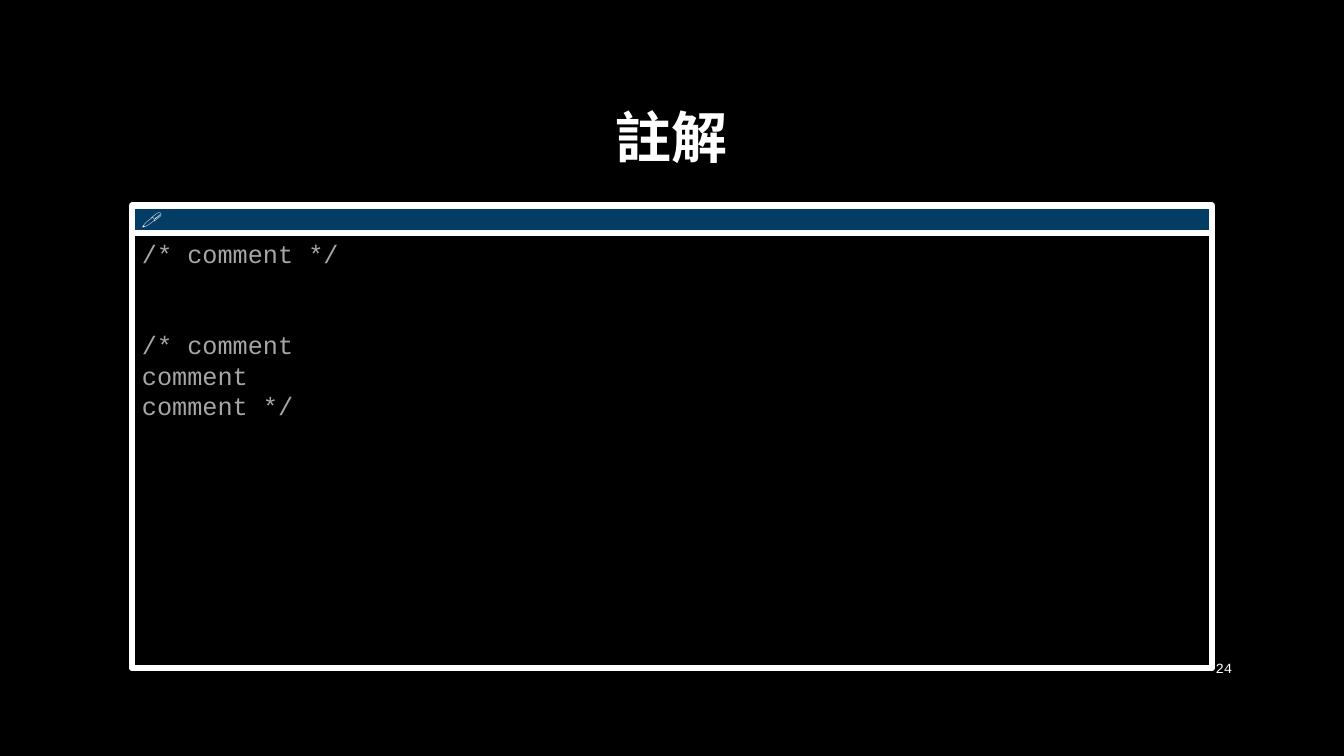
import pptx
import pptx.dml.color
import pptx.enum.shapes
import pptx.enum.text
import pptx.oxml.ns
import pptx.util
from lxml import etree

Inches = pptx.util.Inches
Pt = pptx.util.Pt
RGBColor = pptx.dml.color.RGBColor
ALIGN = pptx.enum.text.PP_ALIGN
ANCHOR = pptx.enum.text.MSO_ANCHOR

BLACK = RGBColor(0x00, 0x00, 0x00)
WHITE = RGBColor(0xFF, 0xFF, 0xFF)
GRAY = RGBColor(0xA6, 0xA6, 0xA6)
BLUE = RGBColor(0x07, 0x7A, 0xCC)
FONT = "Courier New"
CODE_PITCH = 21.8
BAR_HEIGHT = 0.27


def write(sp, text, size, color=WHITE, bold=False, align=ALIGN.LEFT,
          anchor=ANCHOR.MIDDLE, spacing=None):
    """Fill a shape with text, one paragraph per line."""
    tf = sp.text_frame
    tf.word_wrap = True
    tf.vertical_anchor = anchor
    tf.text = text
    for p in tf.paragraphs:
        p.alignment = align
        p.line_spacing = spacing
        for r in p.runs:
            r.font.name = FONT
            r.font.size = Pt(size)
            r.font.bold = bold
            r.font.color.rgb = color
    return tf


def add_label(s, box, text, size, **style):
    sp = s.shapes.add_textbox(*map(Inches, box))
    write(sp, text, size, **style)


def add_pane(shapes, box, color):
    """Add a white-edged rectangle with a half-transparent fill."""
    sp = shapes.add_shape(pptx.enum.shapes.MSO_SHAPE.RECTANGLE, *map(Inches, box))
    sp.shadow.inherit = False
    sp.fill.solid()
    sp.fill.fore_color.rgb = color
    qn = pptx.oxml.ns.qn
    clr = sp.fill._xPr.find(qn("a:solidFill")).find(qn("a:srgbClr"))
    etree.SubElement(clr, qn("a:alpha")).set("val", "50000")
    sp.line.color.rgb = WHITE
    sp.line.width = Pt(4.5)
    return sp


def add_code_window(s, box, icon, blocks):
    """Draw a title bar above a code pane; blocks are two lines apart."""
    x, y, w, h = box
    group = s.shapes.add_group_shape()
    pane = add_pane(group.shapes, (x, y + BAR_HEIGHT, w, h - BAR_HEIGHT), BLACK)
    tf = write(pane, "\n".join(blocks), 18, color=GRAY, anchor=ANCHOR.TOP,
               spacing=Pt(CODE_PITCH))
    start = 0
    for block in blocks[:-1]:
        start += len(block.split("\n"))
        tf.paragraphs[start].space_before = Pt(2 * CODE_PITCH)
    bar = add_pane(group.shapes, (x, y, w, BAR_HEIGHT), BLUE)
    write(bar, icon, 14)


def build_slide(prs):
    s = prs.slides.add_slide(prs.slide_layouts[6])
    s.background.fill.solid()
    s.background.fill.fore_color.rgb = BLACK
    add_label(s, (1, 0.67, 11.32, 1.45), "註解", 40, bold=True,
              align=ALIGN.CENTER, spacing=0.9)
    add_label(s, (11.5, 6.43, 0.82, 0.4), "24", 10, align=ALIGN.RIGHT)
    add_code_window(s, (1.31, 2.04, 10.71, 4.59), "🖊",
                    ["/* comment */", "/* comment\ncomment\ncomment */"])


def main():
    prs = pptx.Presentation()
    prs.slide_width = Inches(13.33)
    prs.slide_height = Inches(7.5)
    build_slide(prs)
    prs.save("out.pptx")


if __name__ == "__main__":
    main()
